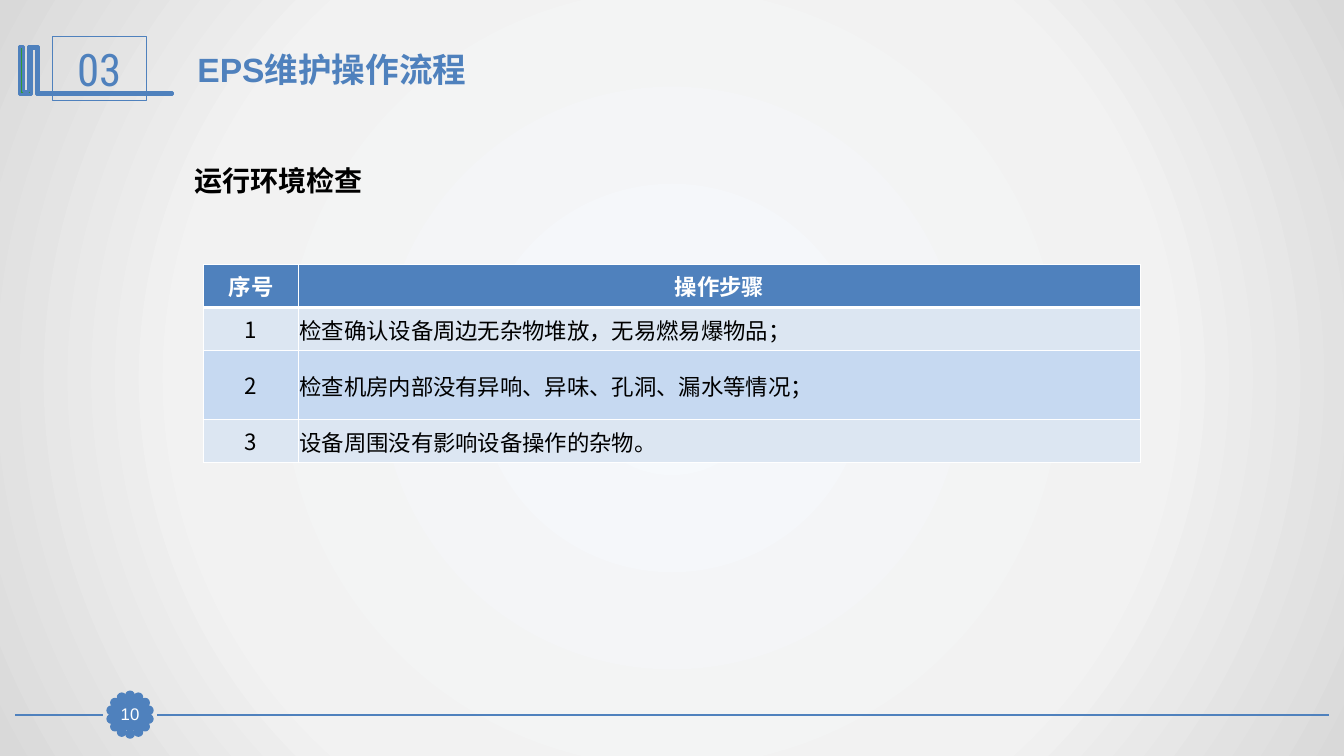
from math import cos, pi, sin

from lxml.etree import SubElement
from pptx import Presentation
from pptx.dml.color import RGBColor
from pptx.enum.shapes import MSO_CONNECTOR, MSO_SHAPE
from pptx.enum.text import MSO_ANCHOR, MSO_AUTO_SIZE, PP_ALIGN
from pptx.oxml import parse_xml
from pptx.oxml.ns import nsdecls, qn
from pptx.util import Inches, Pt

COLORS = {
    "blue": "4F81BD", "green": "339933", "white": "FFFFFF", "black": "000000",
    "pale": "DCE6F2", "sky": "C6D9F1",
}
BACKGROUND_STOPS = [(0, "F6F9FC"), (63, "F2F2F2"), (100, "D9D9D9")]
SECTION, PAGE_NUMBER = "03", "10"
TITLE, SUBTITLE = ["EPS", "维护操作流程"], ["运行环境检查"]
STEPS = [
    ("序号", "操作步骤"),
    ("1", "检查确认设备周边无杂物堆放，无易燃易爆物品；"),
    ("2", "检查机房内部没有异响、异味、孔洞、漏水等情况；"),
    ("3", "设备周围没有影响设备操作的杂物。"),
]
COLUMN_WIDTHS = [0.94, 8.35]
ROW_HEIGHTS = [0.43, 0.43, 0.68, 0.43]
ROW_FILLS = ["blue", "pale", "sky", "pale"]
FOOTER_Y = 7.09
FOOTER_LINES = [(13.18, 1.56), (1.02, 0.15)]
BADGE_CENTER, BADGE_RADIUS, DOT_SIZE, DOT_COUNT = (1.29, 7.09), 0.19, 0.07, 14
BOOK_OUTLINE = [
    (0.38, 0.46), (0.38, 0.92), (1.71, 0.92), (1.71, 0.94), (0.36, 0.94),
    (0.36, 0.48), (0.31, 0.48), (0.31, 0.94), (0.19, 0.94), (0.19, 0.46),
    (0.23, 0.46), (0.23, 0.91), (0.28, 0.91), (0.28, 0.46),
]


def color(name):
    """Return the named colour."""
    return RGBColor.from_string(COLORS[name])


def paint_background(page):
    """Fill the page with a round gradient."""
    page.background.fill.gradient()
    stops = "".join(
        f'<a:gs pos="{position * 1000}"><a:srgbClr val="{value}"/></a:gs>'
        for position, value in BACKGROUND_STOPS
    )
    gradient = parse_xml(
        f'<a:gradFill {nsdecls("a")} rotWithShape="1"><a:gsLst>{stops}</a:gsLst>'
        '<a:path path="circle"><a:fillToRect l="50000" t="50000" r="50000" b="50000"/>'
        "</a:path></a:gradFill>"
    )
    previous = next(page.element.iter(qn("a:gradFill")))
    previous.getparent().replace(previous, gradient)


def style(shape, fill, width):
    """Set the fill and blue outline of a shape."""
    shape.shadow.inherit = False
    if fill:
        shape.fill.solid()
        shape.fill.fore_color.rgb = color(fill)
    else:
        shape.fill.background()
    shape.line.color.rgb = color("blue")
    shape.line.width = Pt(width)


def write(frame, texts, size, font, ink, bold=False, align=PP_ALIGN.LEFT):
    """Write one paragraph run by run."""
    para = frame.paragraphs[0]
    para.alignment = align
    for text in texts:
        span = para.add_run()
        span.text = text
        span.font.size = Pt(size)
        span.font.name = font
        span.font.bold = bold
        span.font.color.rgb = color(ink)
        if font.startswith("Noto"):
            SubElement(span.font._element, qn("a:ea"), typeface=font)


def add_label(page, place, texts, size, ink):
    """Add a bold heading."""
    box = page.shapes.add_textbox(*map(Inches, place))
    box.text_frame.word_wrap = True
    box.text_frame.auto_size = MSO_AUTO_SIZE.SHAPE_TO_FIT_TEXT
    write(box.text_frame, texts, size, "Arial", ink, bold=True)


def add_tile(page, place, fill, text, size, font, ink, margin):
    """Add an outlined rectangle with centred text."""
    tile = page.shapes.add_shape(MSO_SHAPE.RECTANGLE, *map(Inches, place))
    style(tile, fill, 0.75)
    frame = tile.text_frame
    frame.vertical_anchor = MSO_ANCHOR.MIDDLE
    if margin is not None:
        frame.margin_left = frame.margin_right = Inches(margin)
        frame.margin_top = frame.margin_bottom = Inches(margin)
    write(frame, [text], size, font, ink, align=PP_ALIGN.CENTER)


def add_footer(page):
    """Add the footer lines and the scalloped page badge."""
    for start, end in FOOTER_LINES:
        line = page.shapes.add_connector(
            MSO_CONNECTOR.STRAIGHT,
            *map(Inches, (start, FOOTER_Y, end, FOOTER_Y)),
        )
        line.line.color.rgb = color("blue")
        line.line.width = Pt(1.25)
        SubElement(line._element.spPr, qn("a:effectLst"))
    center_x, center_y = BADGE_CENTER
    for index in range(DOT_COUNT):
        angle = 2 * pi * index / DOT_COUNT
        left = center_x + BADGE_RADIUS * sin(angle) - DOT_SIZE / 2
        top = center_y - BADGE_RADIUS * cos(angle) - DOT_SIZE / 2
        dot = page.shapes.add_shape(
            MSO_SHAPE.OVAL, *map(Inches, (left, top, DOT_SIZE, DOT_SIZE))
        )
        style(dot, "blue", 2)
    add_tile(page, (1.13, 6.93, 0.32, 0.31), "blue", PAGE_NUMBER, 12, "Arial", "white", 0)


def add_section_mark(page):
    """Add the book outline and the section number."""
    points = [(Inches(x), Inches(y)) for x, y in BOOK_OUTLINE]
    builder = page.shapes.build_freeform(*points[0])
    builder.add_line_segments(points[1:], close=True)
    style(builder.convert_to_shape(), "green", 2)
    add_tile(page, (0.52, 0.36, 0.93, 0.64), None, SECTION, 32, "Roboto Condensed", "blue", None)


def add_borders(cell, row):
    """Draw white cell borders, thick below the header."""
    widths = {"L": 1, "R": 1, "T": 3 if row == 1 else 1, "B": 3 if row == 0 else 1}
    properties = cell._tc.get_or_add_tcPr()
    for side, width in widths.items():
        border = SubElement(properties, qn(f"a:ln{side}"), w=str(Pt(width)))
        fill = SubElement(border, qn("a:solidFill"))
        SubElement(fill, qn("a:srgbClr"), val=COLORS["white"])


def add_steps(page):
    """Add the table of steps."""
    place = (2.02, 2.62, sum(COLUMN_WIDTHS), sum(ROW_HEIGHTS))
    table = page.shapes.add_table(
        len(STEPS), len(COLUMN_WIDTHS), *map(Inches, place)
    ).table
    for column, width in zip(table.columns, COLUMN_WIDTHS):
        column.width = Inches(width)
    for row, (texts, height) in enumerate(zip(STEPS, ROW_HEIGHTS)):
        table.rows[row].height = Inches(height)
        header = row == 0
        for column, text in enumerate(texts):
            cell = table.cell(row, column)
            add_borders(cell, row)
            cell.fill.solid()
            cell.fill.fore_color.rgb = color(ROW_FILLS[row])
            cell.vertical_anchor = MSO_ANCHOR.MIDDLE
            centered = header or column == 0
            if not centered:
                cell.margin_left = cell.margin_right = cell.margin_top = Inches(0.01)
                cell.margin_bottom = 0
            write(
                cell.text_frame, [text], 16, "Noto Sans CJK SC",
                "white" if header else "black", bold=header,
                align=PP_ALIGN.CENTER if centered else PP_ALIGN.LEFT,
            )


def main():
    """Build the slide and save it."""
    deck = Presentation()
    deck.slide_width, deck.slide_height = Inches(13.33), Inches(7.5)
    page = deck.slides.add_slide(deck.slide_layouts[6])
    paint_background(page)
    add_footer(page)
    add_section_mark(page)
    add_label(page, (1.83, 1.57, 4.65, 0.44), SUBTITLE, 20, "black")
    add_steps(page)
    add_label(page, (1.86, 0.44, 9.69, 0.5), TITLE, 24, "blue")
    deck.save("out.pptx")


if __name__ == "__main__":
    main()
